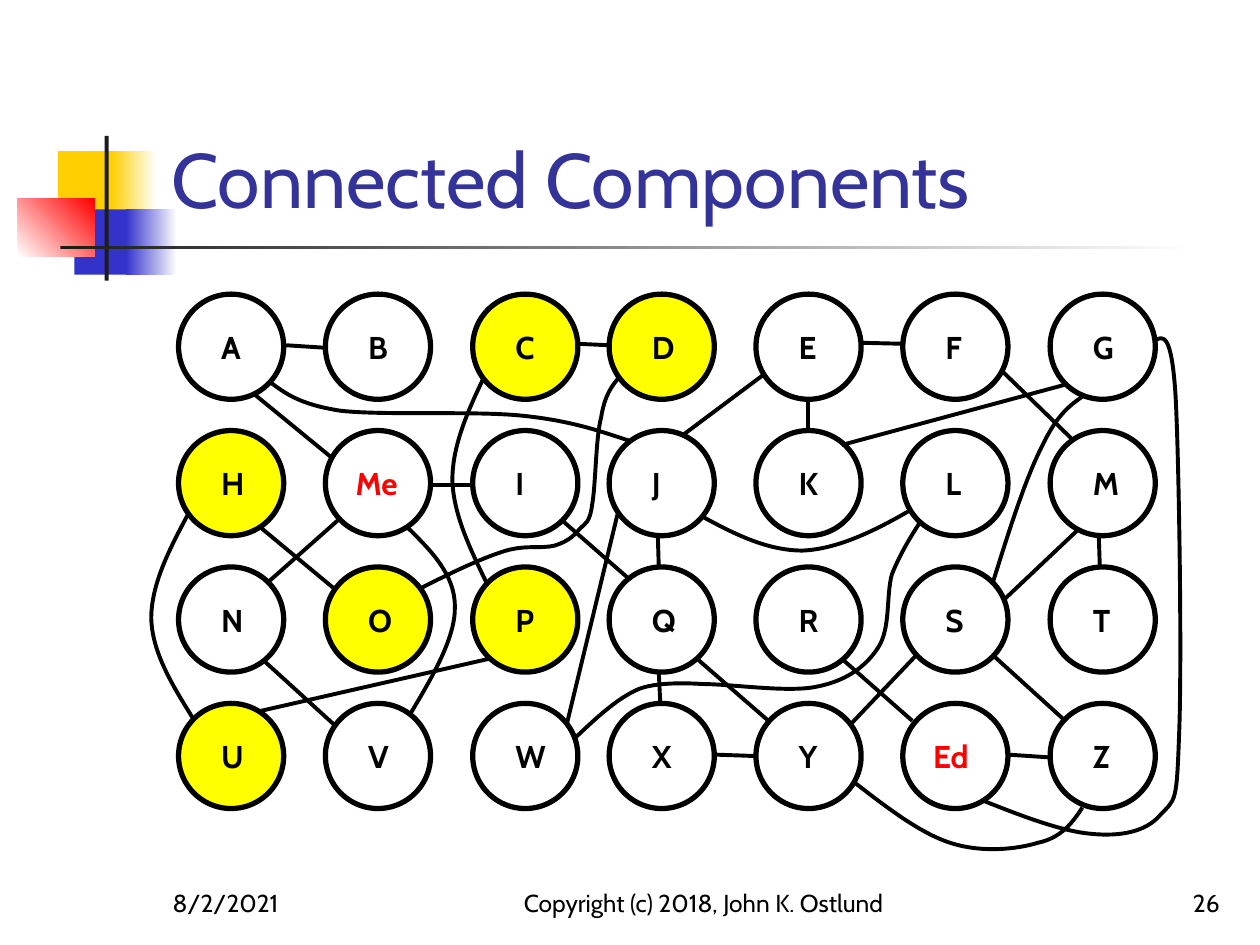
from pptx import Presentation
from pptx.dml.color import RGBColor
from pptx.enum.shapes import MSO_CONNECTOR, MSO_SHAPE
from pptx.enum.text import MSO_ANCHOR, PP_ALIGN
from pptx.oxml.ns import qn
from pptx.util import Cm, Pt
from lxml.etree import SubElement

FONT = "Cabin"
BLACK, WHITE, RED, YELLOW = "000000", "FFFFFF", "FF0000", "FFFF00"
GOLD, BLUE, DARK, NAVY = "FFCF01", "3333CC", "1C1C1C", "333399"

COLUMNS = [3.6, 6.56, 9.53, 12.28, 15.24, 18.2, 21.17]
TOP, ROW_PITCH, DIAMETER = 5.93, 2.75, 2.12
NODES = ["A B C D E F G", "H Me I J K L M", "N O P Q R S T", "U V W X Y Ed Z"]
HIGHLIGHTED = "CDHOPU"

# left, top, width, height, colours from start to end, angle
DECORATIONS = [
    (1.17, 3.05, 1.22, 1.32, [GOLD], 0),
    (2.24, 3.05, 0.91, 1.32, [GOLD, WHITE], 0),
    (1.5, 4.22, 1.17, 1.32, [BLUE], 0),
    (2.54, 4.22, 1.02, 1.32, [BLUE, WHITE], 0),
    (0.36, 4.01, 1.55, 1.17, [WHITE, RED], 45),
    (2.11, 2.74, 0.08, 2.92, [DARK], 0),
    (1.22, 4.95, 22.86, 0.08, [DARK, WHITE], 0),
]

STRAIGHT_EDGES = {
    "A-B": (5.77, 6.96, 6.55, 7.01),
    "A-Me": (5.13, 7.95, 6.68, 9.22),
    "C-D": (11.63, 6.93, 12.29, 6.96),
    "E-F": (17.37, 6.91, 18.19, 6.93),
    "E-J": (15.37, 7.57, 13.74, 8.79),
    "E-K": (16.28, 8.03, 16.28, 8.69),
    "F-M": (20.19, 7.47, 21.62, 8.86),
    "G-K": (21.49, 7.75, 16.97, 8.97),
    "H-O": (5.26, 10.64, 6.73, 11.86),
    "Me-I": (8.69, 9.78, 9.5, 9.78),
    "Me-N": (6.81, 10.49, 5.41, 11.73),
    "I-Q": (11.33, 10.49, 12.67, 11.66),
    "J-Q": (13.26, 10.77, 13.28, 11.43),
    "J-W": (12.45, 10.36, 11.43, 14.58),
    "M-S": (21.72, 10.69, 20.24, 12.09),
    "M-T": (22.15, 10.77, 22.17, 11.4),
    "N-V": (5.31, 13.31, 6.76, 14.63),
    "P-U": (9.86, 13.28, 5.26, 14.33),
    "Q-X": (13.28, 13.54, 13.31, 14.17),
    "Q-Y": (14.05, 13.28, 15.49, 14.53),
    "R-Ed": (16.97, 13.28, 18.39, 14.53),
    "S-Y": (18.47, 13.21, 17.12, 14.63),
    "S-Z": (20.04, 13.23, 21.44, 14.5),
    "X-Y": (14.35, 15.21, 15.21, 15.24),
    "Ed-Z": (20.29, 15.21, 21.18, 15.27),
}

# Start point, then two control points and an end point for each segment
CURVED_EDGES = {
    "A-J": [(5.44, 7.7), (5.74, 7.92), (6.02, 8.15), (6.86, 8.28),
            (7.72, 8.38), (9.55, 8.28), (10.52, 8.38),
            (11.51, 8.48), (12.09, 8.69), (12.7, 8.89)],
    "W-L": [(11.56, 14.91), (12.01, 14.48), (12.45, 14.07), (12.88, 13.89),
            (13.31, 13.72), (14.15, 13.79), (14.15, 13.79),
            (14.76, 13.79), (15.9, 13.97), (16.48, 13.84),
            (17.07, 13.72), (17.45, 13.44), (17.7, 13.06),
            (17.96, 12.67), (17.86, 12.01), (17.98, 11.58),
            (18.14, 11.18), (18.34, 10.85), (18.54, 10.54)],
    "Ed-G": [(19.84, 16.15), (20.62, 16.46), (21.41, 16.76), (22, 16.81),
             (22.61, 16.87), (23.11, 16.76), (23.39, 16.43),
             (23.7, 16.1), (23.72, 16.21), (23.77, 14.81),
             (23.83, 13.39), (23.77, 9.32), (23.7, 8),
             (23.62, 6.68), (23.44, 6.78), (23.29, 6.86)],
    "Me-V": [(8.2, 10.62), (8.69, 11.1), (9.17, 11.58), (9.17, 12.22),
             (9.19, 12.83), (8.74, 13.61), (8.28, 14.38)],
    "H-U": [(3.78, 10.39), (3.4, 11.1), (3.05, 11.79), (3.05, 12.47),
            (3.07, 13.16), (3.48, 13.82), (3.89, 14.48)],
    "C-P": [(9.75, 7.62), (9.42, 8.31), (9.12, 8.99), (9.12, 9.68),
            (9.14, 10.36), (9.47, 11.05), (9.8, 11.73)],
    "O-D": [(8.48, 11.86), (9.07, 11.56), (9.65, 11.28), (10.11, 11.13),
            (10.57, 10.97), (10.9, 11.07), (11.18, 11),
            (11.43, 10.92), (11.56, 10.82), (11.68, 10.67),
            (11.81, 10.54), (11.89, 10.54), (11.94, 10.16),
            (12.01, 9.78), (12.01, 8.81), (12.12, 8.41),
            (12.19, 7.98), (12.32, 7.8), (12.47, 7.62)],
    "Y-Z": [(17.22, 15.77), (17.88, 16.28), (18.54, 16.79), (19.15, 16.99),
            (19.79, 17.2), (20.5, 17.12), (20.93, 16.99),
            (21.39, 16.89), (21.62, 16.59), (21.82, 16.28)],
    "J-L": [(14.15, 10.41), (14.81, 10.77), (15.47, 11.1), (16.18, 11.1),
            (16.87, 11.07), (17.6, 10.72), (18.31, 10.31)],
    "S-G": [(20.02, 11.73), (20.35, 10.67), (20.68, 9.63), (21.01, 8.99),
            (21.31, 8.36), (21.56, 8.18), (21.84, 7.98)],
}


def rgb(color):
    return RGBColor.from_string(color)


def set_text(tf, text, size, color=BLACK, align=PP_ALIGN.LEFT, bold=False, anchor=MSO_ANCHOR.BOTTOM):
    tf.word_wrap = True
    tf.vertical_anchor = anchor
    p = tf.paragraphs[0]
    p.text = text
    p.alignment = align
    p.font.name, p.font.size, p.font.bold = FONT, Pt(size), bold
    p.font.color.rgb = rgb(color)


def set_line(sp, width):
    sp.line.color.rgb = rgb(BLACK)
    sp.line.width = Pt(width)


def add_decoration(slide, left, top, width, height, colors, angle):
    sp = slide.shapes.add_shape(MSO_SHAPE.RECTANGLE, Cm(left), Cm(top), Cm(width), Cm(height))
    sp.shadow.inherit = False
    sp.line.fill.background()
    if len(colors) == 1:
        sp.fill.solid()
        sp.fill.fore_color.rgb = rgb(colors[0])
        return
    sp.fill.gradient()
    sp.fill.gradient_angle = angle
    for stop, color, position in zip(sp.fill.gradient_stops, colors, (0, 1)):
        stop.color.rgb = rgb(color)
        stop.position = position


def add_title(slide, text):
    title = slide.shapes.title
    title.left, title.top, title.width, title.height = Cm(3.2), Cm(0.58), Cm(21.64), Cm(4.06)
    set_text(title.text_frame, text, 44, NAVY)


def add_footer(slide, left, width, text, align):
    sp = slide.shapes.add_textbox(Cm(left), Cm(17.35), Cm(width), Cm(1.27))
    set_text(sp.text_frame, text, 14, align=align)


def add_node(slide, left, top, name):
    sp = slide.shapes.add_shape(MSO_SHAPE.OVAL, Cm(left), Cm(top), Cm(DIAMETER), Cm(DIAMETER))
    sp.shadow.inherit = False
    set_line(sp, 3)
    if name in HIGHLIGHTED:
        sp.fill.solid()
        sp.fill.fore_color.rgb = rgb(YELLOW)
    else:
        sp.fill.background()
    is_person = len(name) > 1
    tf = sp.text_frame
    set_text(tf, name, 18, RED if is_person else BLACK, bold=True, anchor=MSO_ANCHOR.MIDDLE)
    tf.margin_left = Cm(0.3 if is_person else 0.55)
    tf.margin_right = tf.margin_top = tf.margin_bottom = 0


def add_straight_edge(slide, *ends):
    line = slide.shapes.add_connector(MSO_CONNECTOR.STRAIGHT, *map(Cm, ends))
    set_line(line, 2.25)
    SubElement(line._element.spPr, qn("a:effectLst"))


def add_curved_edge(slide, points):
    """Draw the points as a freeform, then join each three segments into one Bézier curve."""
    start, *rest = [(Cm(x), Cm(y)) for x, y in points]
    builder = slide.shapes.build_freeform(*start)
    builder.add_line_segments(rest, close=False)
    sp = builder.convert_to_shape()
    sp.shadow.inherit = False
    sp.fill.background()
    set_line(sp, 2.25)
    segments = list(sp._element.iter(qn("a:lnTo")))
    outline = segments[0].getparent()
    for i in range(0, len(segments), 3):
        curve = SubElement(outline, qn("a:cubicBezTo"))
        for segment in segments[i:i + 3]:
            curve.append(segment[0])
            outline.remove(segment)


def main():
    prs = Presentation()
    prs.slide_width, prs.slide_height = Cm(25.4), Cm(19.05)
    slide = prs.slides.add_slide(prs.slide_layouts[5])
    for decoration in DECORATIONS:
        add_decoration(slide, *decoration)
    add_title(slide, "Connected Components")
    add_footer(slide, 3.23, 5.28, "8/2/2021", PP_ALIGN.LEFT)
    add_footer(slide, 10.16, 8.05, "Copyright (c) 2018, John K. Ostlund", PP_ALIGN.CENTER)
    add_footer(slide, 19.56, 5.28, "26", PP_ALIGN.RIGHT)
    for row, names in enumerate(NODES):
        for left, name in zip(COLUMNS, names.split()):
            add_node(slide, left, TOP + row * ROW_PITCH, name)
    for ends in STRAIGHT_EDGES.values():
        add_straight_edge(slide, *ends)
    for points in CURVED_EDGES.values():
        add_curved_edge(slide, points)
    prs.save("out.pptx")


if __name__ == "__main__":
    main()
